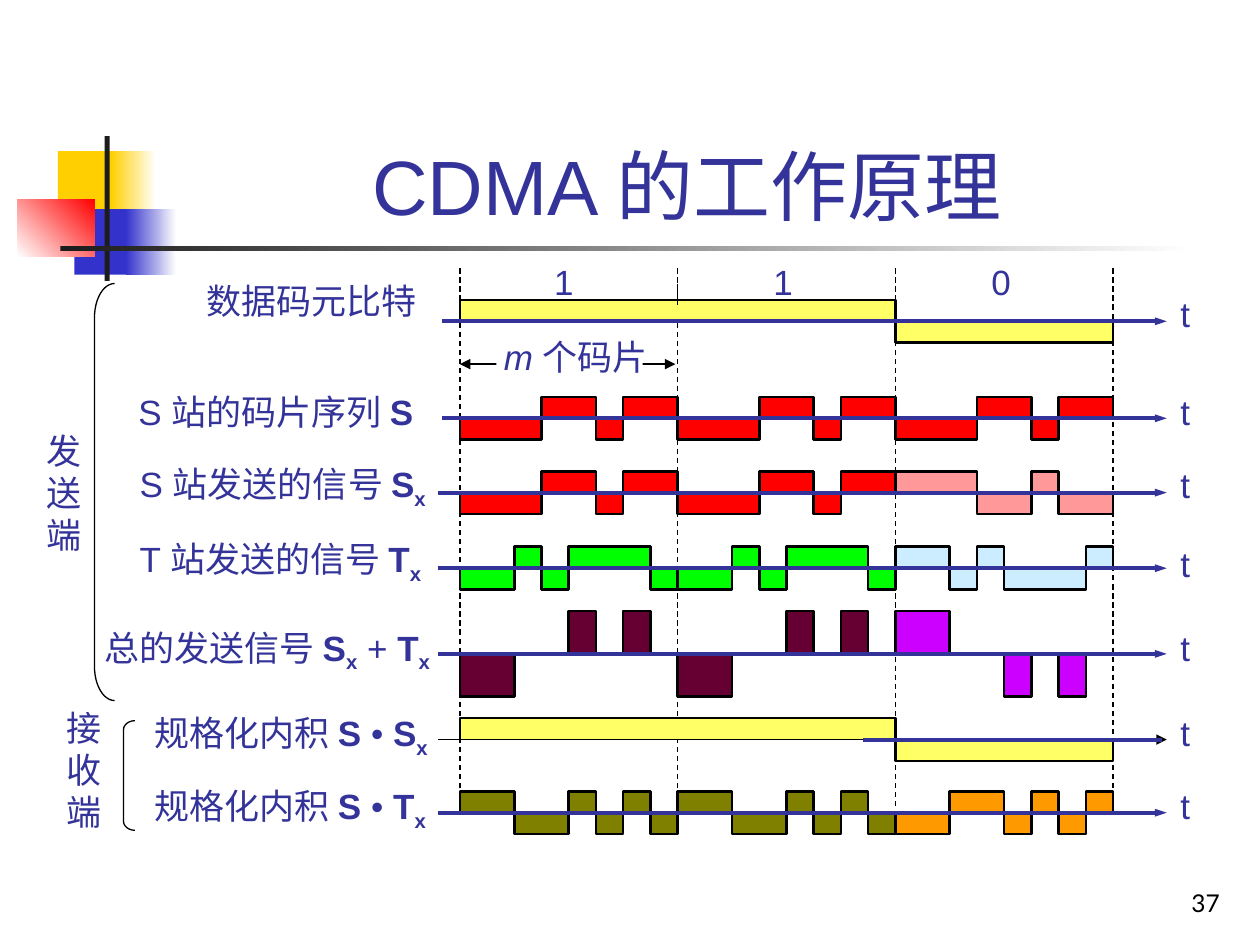
import pptx
import pptx.util
import pptx.dml.color
import pptx.enum.dml
import pptx.enum.shapes
import pptx.enum.text
import pptx.oxml.ns
from lxml import etree

Inches = pptx.util.Inches
Pt = pptx.util.Pt
rgb = pptx.dml.color.RGBColor.from_string
qn = pptx.oxml.ns.qn
Kind = pptx.enum.shapes.MSO_SHAPE
Align = pptx.enum.text.PP_ALIGN


class Theme:
    font, foot = "Arial", "Lato"
    big, body, small = 44, 20, 14
    ink, black, white, dark = "333399", "000000", "FFFFFF", "1C1C1C"
    gold, blue, red = "FFCF01", "3333CC", "FF0000"
    pale, pink, green, sky = "FFFF66", "FF9999", "00FF00", "CCECFF"
    wine, plum, olive, amber = "660033", "CC00FF", "808000", "FF9900"
    thin, edge, thick = 0.75, 1.5, 2.25


prs = pptx.Presentation()
prs.slide_width, prs.slide_height = Inches(10), Inches(7.5)
slide = prs.slides.add_slide(prs.slide_layouts[6])
shapes = slide.shapes


def write(x, y, w, h, paras, size=Theme.body, color=Theme.ink, font=Theme.font,
          align=Align.LEFT, wrap=False):
    """Each paragraph is a list of (text, style); styles: b bold, i italic, x subscript."""
    box = shapes.add_textbox(Inches(x), Inches(y), Inches(w), Inches(h))
    frame = box.text_frame
    frame.word_wrap = wrap
    if wrap:
        frame.vertical_anchor = pptx.enum.text.MSO_ANCHOR.BOTTOM
    else:
        frame.auto_size = pptx.enum.text.MSO_AUTO_SIZE.SHAPE_TO_FIT_TEXT
    for n, runs in enumerate(paras):
        para = frame.add_paragraph() if n else frame.paragraphs[0]
        para.alignment = align
        para.font.size, para.font.name = Pt(size), font
        para.font.color.rgb = rgb(color)
        for text, style in runs:
            run = para.add_run()
            run.text = text
            if "b" in style:
                run.font.bold = True
            if "i" in style:
                run.font.italic = True
            if "x" in style:
                run._r.get_or_add_rPr().set("baseline", "-25000")
    return box


def rule(x1, y1, x2, y2, color=Theme.black, width=Theme.thin, ends=(), head="med",
         dash=False):
    line = shapes.add_connector(pptx.enum.shapes.MSO_CONNECTOR.STRAIGHT,
                                Inches(x1), Inches(y1), Inches(x2), Inches(y2))
    line.line.color.rgb = rgb(color)
    line.line.width = Pt(width)
    if dash:
        line.line.dash_style = pptx.enum.dml.MSO_LINE.DASH
    for end in ends:
        etree.SubElement(line.line._get_or_add_ln(), qn("a:" + end),
                         type="triangle", w=head, len="med")
    etree.SubElement(line._element.spPr, qn("a:effectLst"))


# Corner blocks and title rule: left, top, width, height, colours, angle
for x, y, w, h, tones, angle in (
    (0.46, 1.2, 0.48, 0.52, [Theme.gold], 0),
    (0.88, 1.2, 0.36, 0.52, [Theme.gold, Theme.white], 0),
    (0.59, 1.66, 0.46, 0.52, [Theme.blue], 0),
    (1, 1.66, 0.4, 0.52, [Theme.blue, Theme.white], 0),
    (0.14, 1.58, 0.61, 0.46, [Theme.white, Theme.red], 45),
    (0.83, 1.08, 0.04, 1.15, [Theme.dark], 0),
    (0.48, 1.95, 9, 0.04, [Theme.dark, Theme.white], 0),
):
    block = shapes.add_shape(Kind.RECTANGLE, Inches(x), Inches(y), Inches(w), Inches(h))
    block.shadow.inherit = False
    block.line.fill.background()
    if len(tones) == 1:
        block.fill.solid()
        block.fill.fore_color.rgb = rgb(tones[0])
    else:
        block.fill.gradient()
        block.fill.gradient_angle = angle
        for stop, tone, place in zip(block.fill.gradient_stops, tones, (0, 1)):
            stop.color.rgb = rgb(tone)
            stop.position = place

write(1.26, 0.28, 8.52, 1.6, [[("CDMA 的工作原理 ", "")]], Theme.big,
      align=Align.CENTER, wrap=True)

# Bit borders and the width of one bit
left, chip = 3.65, 0.216
bit = 8 * chip
rule(left, 2.89, 5.36, 2.89, ends=("headEnd", "tailEnd"))
for n, foot in enumerate((6.28, 6.26, 6.42, 6.27)):
    rule(left + n * bit, 2.13, left + n * bit, foot, dash=True)
mask = shapes.add_shape(Kind.RECTANGLE, Inches(3.94), Inches(2.72), Inches(1.16), Inches(0.3))
mask.shadow.inherit = False
mask.fill.solid()
mask.fill.fore_color.rgb = rgb(Theme.white)
mask.line.fill.background()
write(3.9, 2.61, 1.41, 0.44, [[("m ", "i"), ("个码片", "")]])

# Signals: axis height, axis start, swing, t height, (chip levels, fill) per outline
step = {"+": 1, "0": 0, "-": -1}
s, s_inv = "---++-++", "+++--+--"
t, t_inv = "--+-+++-", "++-+---+"
total, prod = "--00+0+0", "++--+-+-"
data = [("+" * 16 + "-" * 8, Theme.pale)]
for axis, start, swing, top, waves in (
    (2.55, 3.51, 0.17, 2.27, data),
    (3.32, 3.51, 0.17, 3.05, [(s, Theme.red)] * 3),
    (3.91, 3.48, 0.17, 3.63, [(s, Theme.red)] * 2 + [(s_inv, Theme.pink)]),
    (4.51, 3.48, 0.17, 4.26, [(t, Theme.green)] * 2 + [(t_inv, Theme.sky)]),
    (5.19, 3.48, 0.34, 4.92, [(total, Theme.wine)] * 2 + [("++00-0-0", Theme.plum)]),
    (5.87, 3.48, 0.17, 5.6, data),
    (6.45, 3.48, 0.17, 6.18, [(prod, Theme.olive)] * 2 + [("--++-+-+", Theme.amber)]),
):
    x = left
    for code, tone in waves:
        pen = shapes.build_freeform(Inches(x), Inches(axis))
        points = []
        for mark in code:
            y = axis - swing * step[mark]
            points += [(Inches(x), Inches(y)), (Inches(x + chip), Inches(y))]
            x += chip
        points.append((Inches(x), Inches(axis)))
        pen.add_line_segments(points, close=False)
        wave = pen.convert_to_shape()
        wave.shadow.inherit = False
        wave.fill.solid()
        wave.fill.fore_color.rgb = rgb(tone)
        wave.line.color.rgb = rgb(Theme.black)
        wave.line.width = Pt(Theme.edge)
    if axis == 5.87:
        rule(start, axis, 9.26, axis, ends=("tailEnd",))
        rule(6.85, axis, 9.22, axis, Theme.ink, Theme.thick)
    else:
        rule(start, axis, 9.26, axis, Theme.ink, Theme.thick, ("tailEnd",), "sm")
    write(9.27, top, 0.27, 0.44, [[("t", "")]])

# Data bits
rule(left + bit, 2.25, left + bit, 2.42)
for x, digit in ((4.3, "1"), (6.04, "1"), (7.77, "0")):
    write(x, 2.02, 0.35, 0.44, [[(digit, "")]])

# Row labels, with a little spare width so that each stays on one line
sx, tx = [("S", "b"), ("x", "bx")], [("T", "b"), ("x", "bx")]
inner = [("规格化内积 ", ""), ("S ", "b"), ("• ", "")]
write(1.54, 2.17, 1.95, 0.44, [[("数据码元比特", "")]])
code = write(1, 3.1, 2.65, 0.39, [[("S 站的码片序列 ", ""), ("S", "b")]])
code.text_frame.paragraphs[0].line_spacing = 0.85
for x, y, w, runs in (
    (1.01, 3.62, 2.75, [("S 站发送的信号 ", "")] + sx),
    (1.01, 4.22, 2.7, [("T 站发送的信号 ", "")] + tx),
    (0.73, 4.92, 3, [("总的发送信号 ", "")] + sx + [(" + ", "")] + tx),
    (1.13, 5.6, 2.6, inner + sx),
    (1.13, 6.18, 2.6, inner + tx),
):
    write(x, y, w, 0.48, [runs])

# Sender and receiver groups
for x, y, word in ((0.27, 3.36, "发送端"), (0.43, 5.56, "接收端")):
    write(x, y, 0.48, 1.1, [[(sign, "")] for sign in word])
for x, y, w, h, bend in ((0.75, 2.25, 0.16, 3.31, 1.7), (0.98, 5.72, 0.09, 0.87, 0.8)):
    group = shapes.add_shape(Kind.LEFT_BRACKET, Inches(x), Inches(y), Inches(w), Inches(h))
    group.adjustments[0] = bend
    group.shadow.inherit = False
    group.fill.background()
    group.line.color.rgb = rgb(Theme.black)
    group.line.width = Pt(Theme.thin)

# Page number
write(7.7, 6.83, 2.08, 0.5, [[("37", "")]], Theme.small, Theme.black, Theme.foot,
      Align.RIGHT, True)

prs.save("out.pptx")
